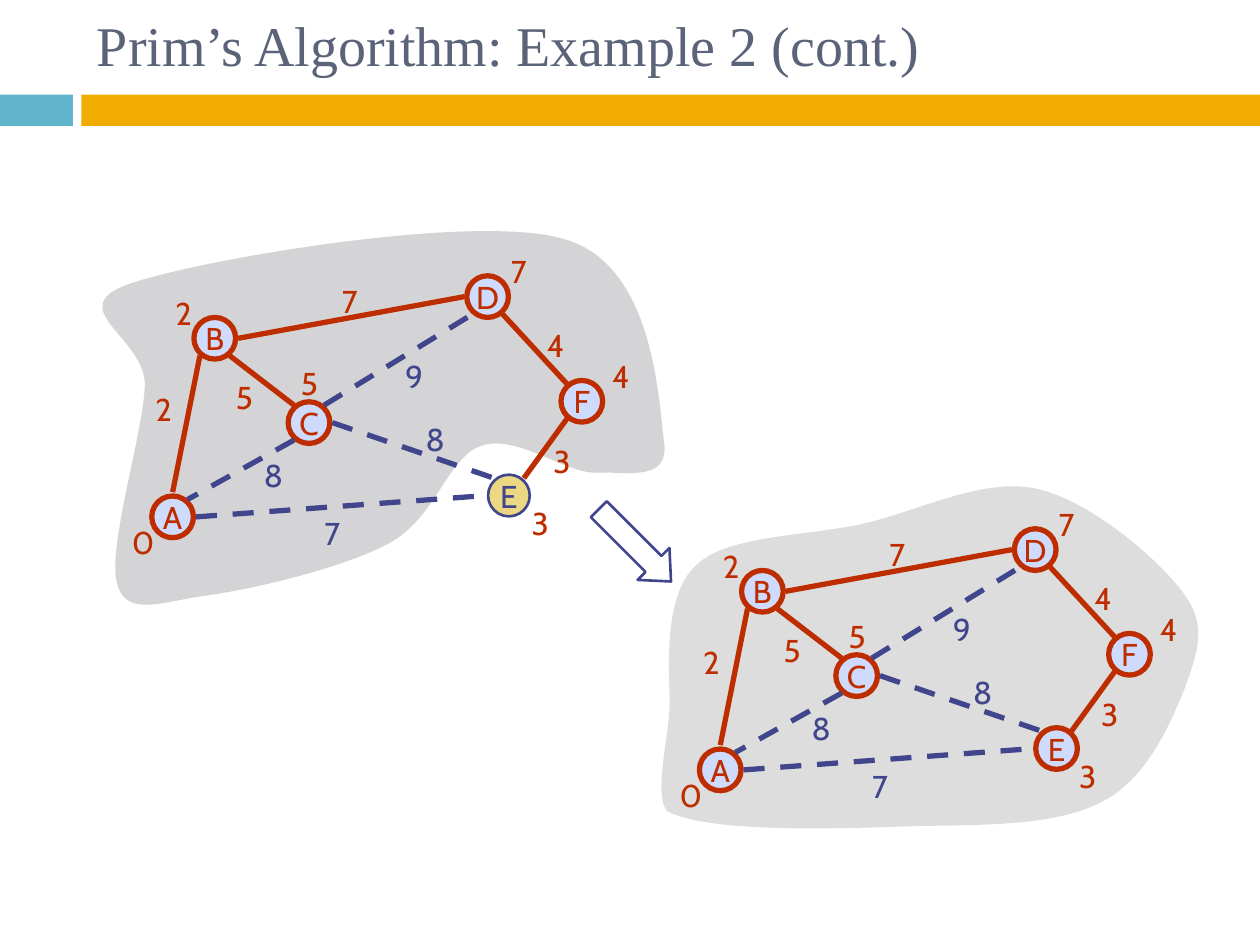
from lxml.etree import SubElement
from pptx import Presentation
from pptx.dml.color import RGBColor
from pptx.enum.dml import MSO_LINE
from pptx.enum.shapes import MSO_CONNECTOR, MSO_SHAPE
from pptx.enum.text import MSO_ANCHOR, MSO_AUTO_SIZE, PP_ALIGN
from pptx.oxml.ns import qn
from pptx.util import Cm, Pt

RED, BLUE, PALE, GOLD = "BE2D00", "40458C", "CFDBFD", "ECD882"
SIZE = 0.84
NODES = {
    "B": (1.92, 1.87), "D": (7.42, 1.03), "C": (3.82, 3.57),
    "A": (1.07, 5.47), "F": (9.32, 3.14), "E": (7.85, 5.04),
}
PORTS = {
    "n": (0, -0.5), "e": (0.47, 0), "w": (-0.47, 0),
    "ne": (0.3, -0.35), "nw": (-0.3, -0.35),
    "se": (0.3, 0.35), "sw": (-0.3, 0.35),
}
EDGES = [
    ("B", "se", "C", "nw", RED), ("C", "sw", "A", "ne", BLUE),
    ("B", "sw", "A", "n", RED), ("C", "e", "E", "nw", BLUE),
    ("A", "e", "E", "w", BLUE), ("B", "e", "D", "w", RED),
    ("C", "ne", "D", "sw", BLUE), ("F", "nw", "D", "se", RED),
    ("E", "ne", "F", "sw", RED),
]
LABELS = [
    ("7", 4.21, 0.61, RED), ("4", 8.36, 1.49, RED), ("2", 0.46, 2.79, RED),
    ("8", 5.92, 3.39, BLUE), ("5", 2.09, 2.54, RED), ("7", 3.86, 5.29, BLUE),
    ("3", 8.49, 3.84, RED), ("9", 5.51, 2.12, BLUE), ("8", 2.66, 4.11, BLUE),
    ("0", 0, 5.46, RED), ("3", 8.05, 5.08, RED), ("2", 0.86, 0.85, RED),
    ("5", 3.4, 2.26, RED), ("4", 9.68, 2.12, RED), ("7", 7.62, 0, RED),
]
FIRST = [
    (-0.05, 6.81), (-0.25, 6.1), (0.46, 3.86), (0.51, 2.85),
    (0.56, 1.86), (-1.22, 1.27), (0.21, 0.77),
    (1.63, 0.28), (7.22, -0.68), (8.99, -0.12),
    (10.8, 0.41), (10.87, 3.2), (10.98, 3.99),
    (11.08, 4.78), (10.19, 4.55), (9.58, 4.58),
    (8.97, 4.58), (7.98, 3.79), (7.29, 4.04),
    (6.61, 4.27), (6.38, 5.49), (5.44, 6),
    (4.5, 6.51), (2.64, 6.94), (1.73, 7.06),
    (0.82, 7.19), (0.13, 7.5), (-0.05, 6.81),
]
LAST = [
    (0.05, 3.99), (0.08, 4.7), (-0.3, 5.94), (0, 6.3),
    (0.84, 6.76), (3.63, 6.65), (5.08, 6.6),
    (6.55, 6.58), (7.9, 6.58), (8.79, 6.1),
    (9.68, 5.64), (10.16, 4.5), (10.44, 3.81),
    (10.69, 3.1), (10.9, 2.57), (10.41, 1.91),
    (9.91, 1.22), (8.51, 0.03), (7.44, -0.2),
    (6.35, -0.43), (5.08, 0.25), (3.94, 0.51),
    (2.79, 0.76), (1.24, 0.74), (0.61, 1.32),
    (-0.05, 1.88), (0.03, 3.28), (0.05, 3.99),
]


def tint(code):
    """Turn a hex string into a colour."""
    return RGBColor.from_string(code)


def write(shape, text, font="Cabin", size=18, color=RED,
          align=PP_ALIGN.CENTER, anchor=MSO_ANCHOR.MIDDLE,
          wrap=False, fit=MSO_AUTO_SIZE.NONE):
    """Set the text of a shape and its format."""
    frame = shape.text_frame
    frame.word_wrap, frame.auto_size = wrap, fit
    frame.vertical_anchor = anchor
    para = frame.paragraphs[0]
    para.alignment = align
    run = para.add_run()
    run.text = text
    run.font.name, run.font.size = font, Pt(size)
    run.font.color.rgb = tint(color)


def paint(shape, fill=None, line=None, width=1.5):
    """Set fill and outline, and drop the shadow."""
    shape.shadow.inherit = False
    if fill:
        shape.fill.solid()
        shape.fill.fore_color.rgb = tint(fill)
    else:
        shape.fill.background()
    if line:
        shape.line.color.rgb = tint(line)
        shape.line.width = Pt(width)
    else:
        shape.line.fill.background()


def block(slide, kind, x, y, w, h, **look):
    """Add a preset shape at a place given in centimetres."""
    shape = slide.shapes.add_shape(kind, Cm(x), Cm(y), Cm(w), Cm(h))
    paint(shape, **look)
    return shape


def trace(points, steps=16):
    """Yield points along a chain of cubic curves."""
    for i in range(0, len(points) - 1, 3):
        for k in range(1, steps + 1):
            t = k / steps
            u = 1 - t
            yield tuple(u**3 * p + 3 * u * u * t * q + 3 * u * t * t * r + t**3 * s
                        for p, q, r, s in zip(*points[i:i + 4]))


def cloud(slide, x, y, points, fill):
    """Draw the visited region: traced for its extent, outlined by cubic curves."""
    def spot(p):
        return Cm(x + p[0]), Cm(y + p[1])

    pen = slide.shapes.build_freeform(*spot(points[0]))
    pen.add_line_segments([spot(p) for p in trace(points)])
    shape = pen.convert_to_shape()
    paint(shape, fill=fill)
    route = next(shape._element.iter(qn("a:path")))
    for leg in route.findall(qn("a:lnTo")):
        route.remove(leg)
    for i in range(1, len(points), 3):
        curve = SubElement(route, qn("a:cubicBezTo"))
        for p in points[i:i + 3]:
            px, py = spot(p)
            SubElement(curve, qn("a:pt"), x=str(px - shape.left), y=str(py - shape.top))
    SubElement(route, qn("a:close"))


def edge(slide, x, y, start, out, end, into, color):
    """Link two nodes, dashed when the edge is not in the tree."""
    ends = [Cm(base + a + b)
            for node, port in ((start, out), (end, into))
            for base, a, b in zip((x, y), NODES[node], PORTS[port])]
    link = slide.shapes.add_connector(MSO_CONNECTOR.STRAIGHT, *ends)
    link.line.color.rgb = tint(color)
    link.line.width = Pt(3)
    if color == BLUE:
        link.line.dash_style = MSO_LINE.DASH
    SubElement(link._element.spPr, qn("a:effectLst"))


def graph(slide, x, y, region, shade, fresh=""):
    """Draw one stage of the graph, with its fresh node in gold."""
    cloud(slide, x, y, region, shade)
    for name, (cx, cy) in NODES.items():
        new = name == fresh
        ink = BLUE if new else RED
        node = block(slide, MSO_SHAPE.OVAL, x + cx - SIZE / 2, y + cy - SIZE / 2,
                     SIZE, SIZE, fill=GOLD if new else PALE,
                     line=ink, width=1.5 if new else 3)
        write(node, name, color=ink)
    for item in EDGES:
        edge(slide, x, y, *item)
    for text, dx, dy, color in LABELS:
        box = slide.shapes.add_textbox(Cm(x + dx), Cm(y + dy), Cm(0.86), Cm(1.02))
        write(box, text, color=color, anchor=MSO_ANCHOR.TOP,
              fit=MSO_AUTO_SIZE.SHAPE_TO_FIT_TEXT)


def header(slide, x, y, w):
    """Place the title, and the two bars below it on the layout."""
    tree = slide.slide_layout.shapes._spTree
    for i, (dx, wide, fill) in enumerate(((0, 1.47, "60B5CC"),
                                          (1.64, w - 1.64, "F0AD00"))):
        bar = block(slide, MSO_SHAPE.RECTANGLE, x + dx, y + 1.91, wide, 0.63, fill=fill)
        bar._element.nvSpPr.cNvPr.set("id", str(20 + i))
        tree.insert(2 + i, bar._element)
    title = slide.shapes.title
    title.left, title.top = Cm(x + 1.7), Cm(y)
    title.width, title.height = Cm(22.66), Cm(1.78)
    write(title, "Prim’s Algorithm: Example 2 (cont.)", font="Times New Roman",
          size=32, color="5A6378", align=PP_ALIGN.LEFT, wrap=True)


def arrow(slide, x, y, w, h):
    """Point from the first stage to the last."""
    shape = block(slide, MSO_SHAPE.RIGHT_ARROW, x, y, w, h, line=BLUE)
    shape.adjustments[1] = 0.55
    shape.rotation = 45


def main():
    """Build the slide and save it."""
    deck = Presentation()
    deck.slide_width, deck.slide_height = Cm(25.4), Cm(19.05)
    slide = deck.slides.add_slide(deck.slide_layouts[5])
    header(slide, 0, 0, 25.4)
    graph(slide, 2.41, 4.95, FIRST, "D4D4D6", fresh="E")
    graph(slide, 13.45, 10.05, LAST, "DDDDDD")
    arrow(slide, 11.77, 10.54, 2.06, 0.91)
    deck.save("out.pptx")


if __name__ == "__main__":
    main()
